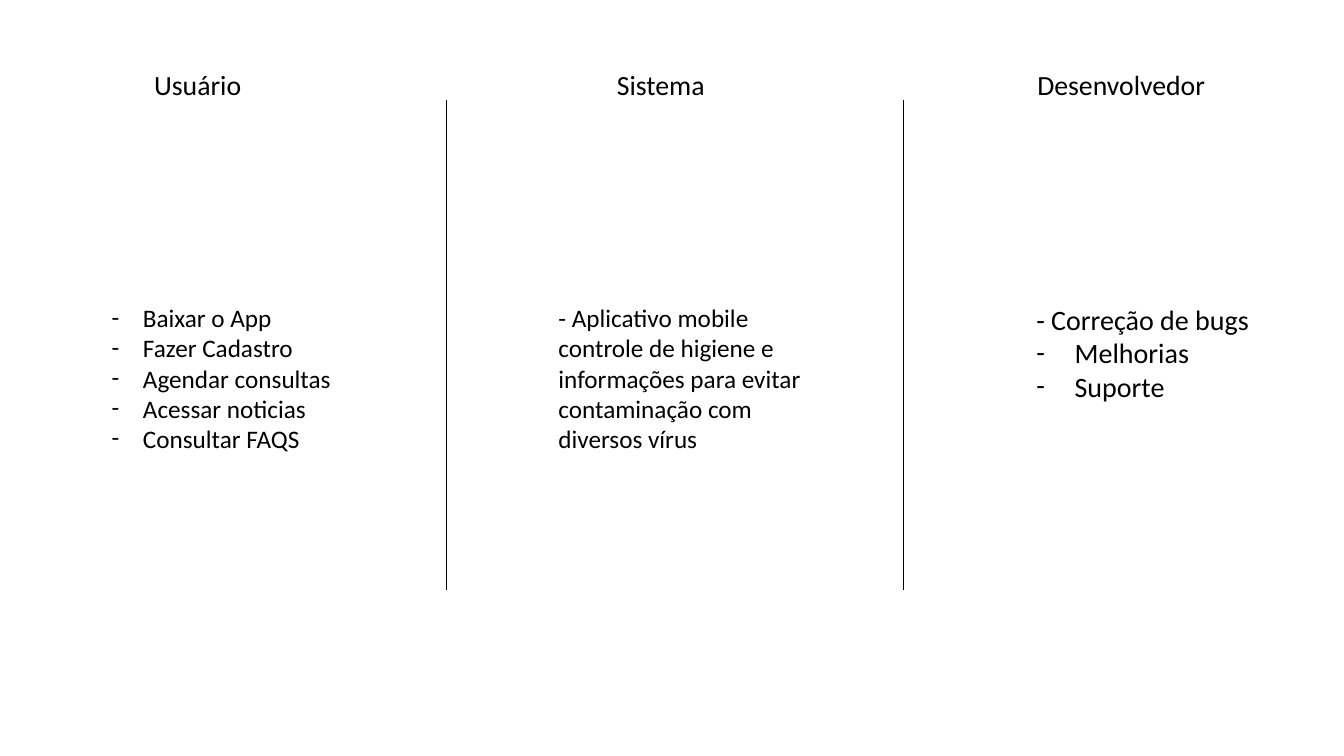
from lxml.etree import SubElement
from pptx import Presentation
from pptx.dml.color import RGBColor
from pptx.enum.shapes import MSO_CONNECTOR as CONN
from pptx.enum.text import MSO_AUTO_SIZE as FIT
from pptx.oxml.ns import qn
from pptx.util import Inches, Pt


def color(value):
    return RGBColor.from_string(value)


def add_text(p, text, font="Calibri", size=18, fill="000000"):
    r = p.add_run()
    r.text = text
    r.font.name = font
    r.font.size = Pt(size)
    r.font.color.rgb = color(fill)


class Deck:
    ink = "000000"
    font = "Calibri"

    def __init__(self):
        self.prs = Presentation()
        self.prs.slide_width = Inches(13.33)
        self.prs.slide_height = Inches(7.5)
        self.s = self.prs.slides.add_slide(self.prs.slide_layouts[6])

    def box(self, left, top, width, height):
        sp = self.s.shapes.add_textbox(*map(Inches, (left, top, width, height)))
        sp.text_frame.word_wrap = True
        return sp.text_frame

    def headings(self, labels, stops):
        tf = self.box(0.75, 0.55, 12.23, 1.26)
        tf.margin_top = Inches(0.16)
        p = tf.paragraphs[0]
        p.line_spacing = 0.9
        tabs = SubElement(p._p.get_or_add_pPr(), qn("a:tabLst"))
        for stop in stops:
            SubElement(tabs, qn("a:tab"), pos=str(Inches(stop)), algn="l")
        add_text(p, "".join("\t" + label for label in labels),
                 font=self.font, size=19.8, fill=self.ink)

    def items(self, place, lines, size=18, indent=0.31, plain=0):
        tf = self.box(*place)
        tf.auto_size = FIT.SHAPE_TO_FIT_TEXT
        for i, line in enumerate(lines):
            p = tf.add_paragraph() if i else tf.paragraphs[0]
            if i >= plain:
                self.dash(p, indent)
            add_text(p, line, font=self.font, size=size, fill=self.ink)

    def dash(self, p, indent):
        pPr = p._p.get_or_add_pPr()
        pPr.set("marL", str(Inches(indent)))
        pPr.set("indent", str(-Inches(indent)))
        SubElement(pPr, qn("a:buFont"), typeface=self.font)
        SubElement(pPr, qn("a:buChar"), char="-")

    def divider(self, x):
        line = self.s.shapes.add_connector(
            CONN.STRAIGHT, Inches(x), Inches(5.85), Inches(x), Inches(0.99))
        line.line.color.rgb = color(self.ink)
        line.line.width = Pt(1)
        SubElement(line._element.spPr, qn("a:effectLst"))


def main():
    deck = Deck()
    deck.headings(["Usuário", "Sistema", "Desenvolvedor"], [0.68, 5.27, 9.44])
    deck.items((10.18, 2.95, 3.17, 1.45),
               ["- Correção de bugs", "Melhorias", "Suporte"],
               size=20, indent=0.38, plain=1)
    for x in (4.43, 8.96):
        deck.divider(x)
    deck.items((1.01, 2.95, 2.4, 1.62),
               ["Baixar o App", "Fazer Cadastro", "Agendar consultas",
                "Acessar noticias", "Consultar FAQS"])
    deck.items((5.44, 2.95, 2.61, 1.92),
               ["- Aplicativo mobile controle de higiene e informações "
                "para evitar contaminação com diversos vírus"], plain=1)
    deck.prs.save("out.pptx")


if __name__ == "__main__":
    main()
